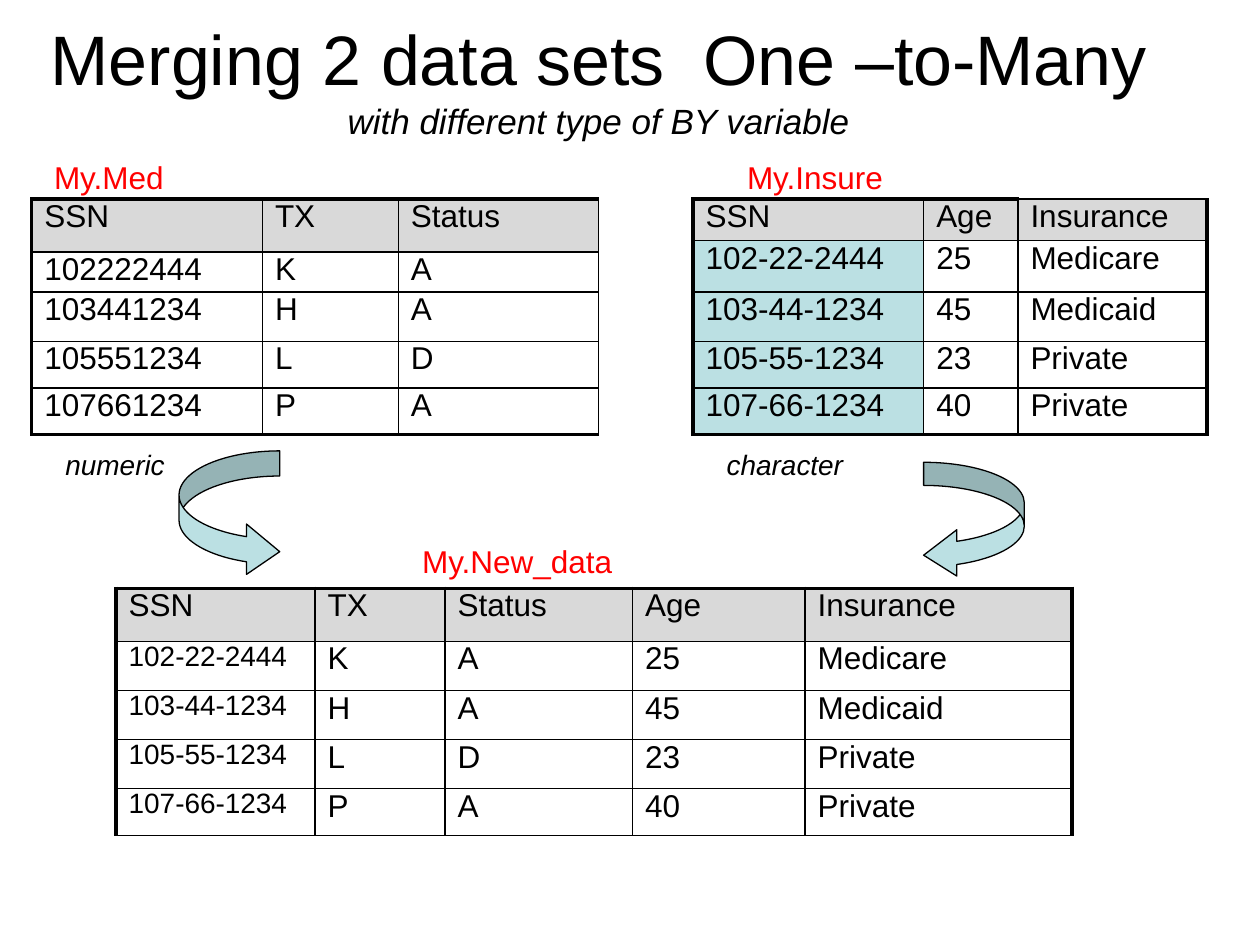
from pptx import Presentation
from pptx import util as u
from pptx.dml.color import RGBColor
from pptx.enum import shapes, text
from pptx.oxml import parse_xml
from pptx.oxml.ns import nsdecls

BLACK = RGBColor(0x00, 0x00, 0x00)
RED = RGBColor(0xFF, 0x00, 0x00)
GREY = RGBColor(0xD9, 0xD9, 0xD9)
TEAL = RGBColor(0xBB, 0xE0, 0xE3)
THIN, THICK = u.Pt(1), u.Pt(2.25)


class Deck:
    """Holds the style and the current slide; all lengths come in centimetres."""

    font = {"name": "Arial", "size": u.Pt(18), "italic": False}

    def __init__(self, prs):
        self.s = prs.slides.add_slide(prs.slide_layouts[6])

    def run(self, p, words, color=BLACK, **fmt):
        r = p.add_run()
        r.text = words
        for key, value in {**self.font, **fmt}.items():
            setattr(r.font, key, value)
        r.font.color.rgb = color

    def label(self, words, box, color=BLACK, **fmt):
        tf = self.s.shapes.add_textbox(*map(u.Cm, box)).text_frame
        tf.word_wrap = False
        tf.auto_size = text.MSO_AUTO_SIZE.SHAPE_TO_FIT_TEXT
        self.run(tf.paragraphs[0], words, color, **fmt)

    def title(self, head, sub, box):
        tf = self.s.shapes.add_textbox(*map(u.Cm, box)).text_frame
        tf.word_wrap = True
        tf.vertical_anchor = text.MSO_ANCHOR.MIDDLE
        p = tf.paragraphs[0]
        p.alignment = text.PP_ALIGN.CENTER
        self.run(p, head, size=u.Pt(40))
        p.add_line_break()
        self.run(p, sub, size=u.Pt(20), italic=True)

    def arrow(self, kind, box, adjust):
        sp = self.s.shapes.add_shape(kind, *map(u.Cm, box))
        sp.shadow.inherit = False
        sp.fill.solid()
        sp.fill.fore_color.rgb = TEAL
        sp.line.color.rgb = BLACK
        sp.line.width = u.Pt(0.75)
        for i, value in enumerate(adjust):
            sp.adjustments[i] = value

    def border(self, cell, side, width):
        cell._tc.get_or_add_tcPr().append(parse_xml(
            f'<a:ln{side} {nsdecls("a")} w="{width}"><a:solidFill>'
            f'<a:srgbClr val="{BLACK}"/></a:solidFill></a:ln{side}>'))

    def table(self, rows, at, widths, heights, thick, key_fill=None,
              key_size=18, thin_top=()):
        """thick names the outer sides with a heavy line; thin_top lists columns without one."""
        box = (*at, sum(widths), sum(heights))
        tbl = self.s.shapes.add_table(len(rows), len(widths), *map(u.Cm, box)).table
        tbl.first_row = tbl.horz_banding = False
        for col, width in zip(tbl.columns, widths):
            col.width = u.Cm(width)
        for row, height in zip(tbl.rows, heights):
            row.height = u.Cm(height)
        for i, row in enumerate(rows):
            for j, words in enumerate(row):
                cell = tbl.cell(i, j)
                cell.margin_top = cell.margin_bottom = 0
                outer = {"L": j == 0, "R": j == len(row) - 1,
                         "T": i == 0 and j not in thin_top, "B": i == len(rows) - 1}
                for side, is_edge in outer.items():
                    self.border(cell, side, THICK if is_edge and side in thick else THIN)
                is_key = i > 0 and j == 0
                fill = GREY if i == 0 else key_fill if is_key else None
                if fill is None:
                    cell.fill.background()
                else:
                    cell.fill.solid()
                    cell.fill.fore_color.rgb = fill
                self.run(cell.text_frame.paragraphs[0], words,
                         size=u.Pt(key_size if is_key else 18))


# Data: the merged table joins the other two row by row
MED = [("SSN", "TX", "Status"), ("102222444", "K", "A"), ("103441234", "H", "A"),
       ("105551234", "L", "D"), ("107661234", "P", "A")]
INSURE = [("SSN", "Age", "Insurance"), ("102-22-2444", "25", "Medicare"),
          ("103-44-1234", "45", "Medicaid"), ("105-55-1234", "23", "Private"),
          ("107-66-1234", "40", "Private")]
MERGED = [(ins[0], *med[1:], *ins[1:]) for med, ins in zip(MED, INSURE)]


def main():
    prs = Presentation()
    prs.slide_width, prs.slide_height = u.Cm(25.4), u.Cm(19.05)
    deck = Deck(prs)

    deck.title("Merging 2 data sets  One –to-Many",
               "with different type of BY variable", (0.64, 0, 22.86, 3.18))

    # Tables
    deck.table(INSURE, (13.97, 4.01), (4.65, 1.9, 3.81),
               (0.84, 1.04, 0.99, 0.94, 0.94), "LTRB", key_fill=TEAL, thin_top=(2,))
    deck.table(MED, (0.64, 4.01), (4.65, 2.74, 4.04),
               (1.07, 0.81, 0.99, 0.94, 0.94), "LTB")
    deck.table(MERGED, (2.34, 11.86), (4.01, 2.62, 3.78, 3.48, 5.38),
               (1.07, 0.99, 0.99, 0.99, 0.94), "LTR", key_size=16)

    # Arrows into the merged table
    kind = shapes.MSO_SHAPE
    deck.arrow(kind.CURVED_RIGHT_ARROW, (3.61, 9.09, 2.03, 2.54), (0.25, 0.5, 0.33))
    deck.arrow(kind.CURVED_LEFT_ARROW, (18.62, 9.32, 2.03, 2.34), (0.23, 0.46, 0.33))

    # Data set names
    for words, x, y, w in (("My.Med", 0.84, 3.07, 2.74),
                           ("My.Insure", 14.81, 3.07, 3.28),
                           ("My.New_data", 8.26, 10.8, 4.39)):
        deck.label(words, (x, y, w, 1.02), RED)

    # Types of the BY variable
    for words, x, w in (("numeric", 1.07, 2.54), ("character", 14.4, 2.9)):
        deck.label(words, (x, 8.89, w, 0.94), size=u.Pt(16), italic=True)

    prs.save("out.pptx")


if __name__ == "__main__":
    main()
